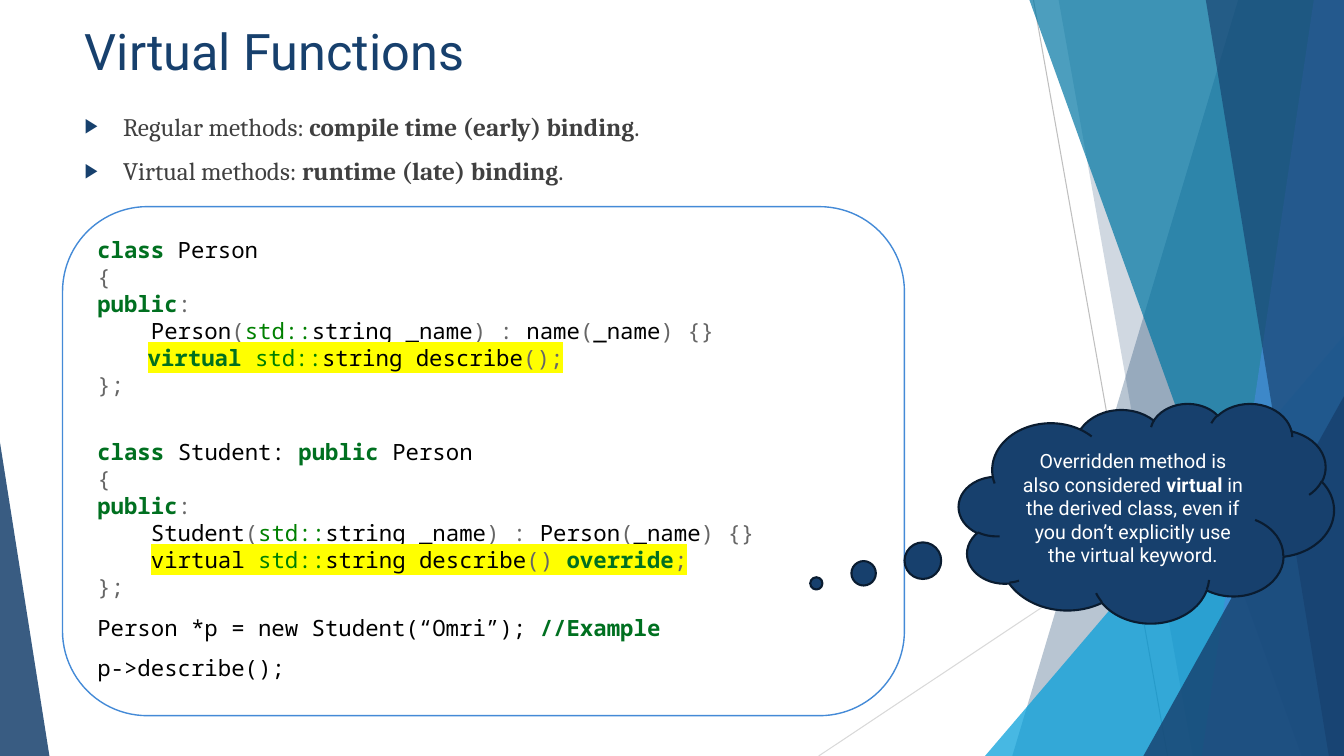
import pptx
import pptx.util
import pptx.dml.color
import pptx.enum.shapes
import pptx.enum.text
import pptx.oxml.ns
import lxml.etree

Inches = pptx.util.Inches
Pt = pptx.util.Pt
SHAPES = pptx.enum.shapes.MSO_SHAPE
NAVY = "17406D"
BLUE = "448AD7"
CODE_FONT = "Noto Sans Mono"
CODE_LINE = 19.2
KEYWORD = {"color": "007020", "bold": True}
PLAIN = {"color": "000000"}
SYMBOL = {"color": "666666"}
SCOPE = {"color": "008000"}
MARKED = "FFFF00"


def rgb(color):
    return pptx.dml.color.RGBColor.from_string(color)


def add_xml(parent, tag, **attributes):
    return lxml.etree.SubElement(parent, pptx.oxml.ns.qn(tag), attributes)


def set_fill(shape, color, opacity=100):
    shape.fill.solid()
    shape.fill.fore_color.rgb = rgb(color)
    if opacity < 100:
        solid = shape._element.spPr.find(pptx.oxml.ns.qn("a:solidFill"))
        add_xml(solid[0], "a:alpha", val=str(opacity * 1000))


def add_text(paragraph, text, font, size, color, bold=False, highlight=None):
    run = paragraph.add_run()
    run.text = text
    run.font.size = Pt(size)
    run.font.bold = bold
    run.font.color.rgb = rgb(color)
    if highlight:
        add_xml(add_xml(run.font._element, "a:highlight"), "a:srgbClr", val=highlight)
    run.font.name = font


def add_shape(slide, kind, left, top, width, height):
    shape = slide.shapes.add_shape(
        kind, Inches(left), Inches(top), Inches(width), Inches(height))
    shape.shadow.inherit = False
    return shape


def add_ray(slide, start, end, color):
    ray = slide.shapes.add_connector(
        pptx.enum.shapes.MSO_CONNECTOR.STRAIGHT, *map(Inches, start + end))
    ray.line.color.rgb = rgb(color)
    ray.line.width = Pt(0.75)
    add_xml(ray._element.spPr, "a:effectLst")


def add_band(slide, top_x, bottom_x, color, opacity):
    builder = slide.shapes.build_freeform(Inches(top_x), 0)
    corners = [(13.33, 0), (13.33, 7.5), (bottom_x, 7.5)]
    builder.add_line_segments([(Inches(x), Inches(y)) for x, y in corners])
    band = builder.convert_to_shape()
    band.shadow.inherit = False
    set_fill(band, color, opacity)
    band.line.fill.background()


def add_wedge(slide, left, top, width, apex, color, opacity):
    wedge = add_shape(slide, SHAPES.ISOSCELES_TRIANGLE, left, top, width, 7.5 - top)
    wedge.adjustments[0] = apex
    set_fill(wedge, color, opacity)
    wedge.line.fill.background()


def add_decoration(slide):
    add_ray(slide, (10.25, 0), (11.58, 7.5), "BFBFBF")
    add_ray(slide, (13.33, 4.03), (8.12, 7.5), "D9D9D9")
    add_band(slide, 12.28, 10.04, NAVY, 30)
    add_band(slide, 10.5, 11.83, NAVY, 20)
    add_wedge(slide, 9.77, 3.33, 3.56, 1, "009DD9", 72)
    add_band(slide, 10.21, 12.91, "0076A3", 70)
    add_band(slide, 13.03, 11.92, BLUE, 70)
    add_band(slide, 11.96, 13.18, NAVY, 65)
    add_wedge(slide, 11.34, 3.93, 1.99, 1, NAVY, 80)
    add_wedge(slide, 0, 4.39, 0.49, 0, NAVY, 85)


def place(placeholder, left, top, width, height):
    placeholder.left, placeholder.top = Inches(left), Inches(top)
    placeholder.width, placeholder.height = Inches(width), Inches(height)
    frame = placeholder.text_frame
    frame.word_wrap = True
    frame.auto_size = pptx.enum.text.MSO_AUTO_SIZE.NONE
    frame.vertical_anchor = pptx.enum.text.MSO_ANCHOR.TOP
    return frame


def next_paragraph(frame, index):
    return frame.add_paragraph() if index else frame.paragraphs[0]


def add_title(slide):
    heading = place(slide.shapes.title, 0.74, 0.15, 9.4, 1.44).paragraphs[0]
    heading.alignment = pptx.enum.text.PP_ALIGN.LEFT
    add_text(heading, "Virtual Functions", "Roboto", 36, NAVY)


def add_bullets(slide, bullets):
    frame = place(slide.placeholders[1], 0.74, 1.05, 9.4, 1.01)
    for index, (lead, emphasis) in enumerate(bullets):
        bullet = next_paragraph(frame, index)
        bullet.space_before = Pt(10 if index else 0)
        props = bullet._p.get_or_add_pPr()
        props.set("marL", str(Inches(0.38)))
        props.set("indent", str(-Inches(0.38)))
        add_xml(add_xml(props, "a:buClr"), "a:srgbClr", val=NAVY)
        add_xml(props, "a:buSzPct", val="80000")
        add_xml(props, "a:buChar", char="▶")
        for text, bold in [(lead, False), (emphasis, True), (".", False)]:
            add_text(bullet, text, "Cambria", 18, "404040", bold)


def constructor(name, member):
    return [("    " + name, PLAIN), ("(", SYMBOL), ("std::", SCOPE),
            ("string _name", PLAIN), (") :", SYMBOL), (" " + member, PLAIN),
            ("(", SYMBOL), ("_name", PLAIN), (") {}", SYMBOL)]


def class_code(header, name, member, indent, method):
    marked = [(text, dict(style, highlight=MARKED)) for text, style in method]
    return [header, [("{", SYMBOL)], [("public", KEYWORD), (":", SYMBOL)],
            constructor(name, member), [(indent, SYMBOL)] + marked, [("};", SYMBOL)]]


def add_code(slide, blocks):
    panel = add_shape(slide, SHAPES.ROUNDED_RECTANGLE, 0.62, 2.05, 8.35, 5.05)
    panel.fill.background()
    panel.line.color.rgb = rgb(BLUE)
    panel.line.width = Pt(1)
    frame = panel.text_frame
    frame.word_wrap = True
    frame.vertical_anchor = pptx.enum.text.MSO_ANCHOR.TOP
    for index, lines in enumerate(blocks):
        block = next_paragraph(frame, index)
        block.alignment = pptx.enum.text.PP_ALIGN.LEFT
        block.line_spacing = Pt(CODE_LINE)
        block.space_before = Pt(CODE_LINE if index == 1 else 0)
        block.space_after = Pt(10)
        tabs = add_xml(block._p.get_or_add_pPr(), "a:tabLst")
        add_xml(tabs, "a:tab", pos=str(Inches(0.5)), algn="l")
        for number, tokens in enumerate(lines):
            if number:
                block.add_line_break()
            for text, style in tokens:
                add_text(block, text, CODE_FONT, 16, **style)


def add_cloud(slide, parts):
    cloud = add_shape(slide, SHAPES.CLOUD_CALLOUT, 9.51, 4, 3.72, 2.18)
    cloud.adjustments[0] = -0.88
    cloud.adjustments[1] = 0.32
    set_fill(cloud, NAVY)
    cloud.line.color.rgb = rgb("0A1C30")
    cloud.line.width = Pt(1.5)
    cloud.text_frame.word_wrap = True
    cloud.text_frame.vertical_anchor = pptx.enum.text.MSO_ANCHOR.MIDDLE
    remark = cloud.text_frame.paragraphs[0]
    remark.alignment = pptx.enum.text.PP_ALIGN.CENTER
    for text, bold in parts:
        add_text(remark, text, "Roboto", 14, "FFFFFF", bold)


def main():
    deck = pptx.Presentation()
    deck.slide_width, deck.slide_height = Inches(13.33), Inches(7.5)
    slide = deck.slides.add_slide(deck.slide_layouts[1])
    add_decoration(slide)
    add_title(slide)
    add_bullets(slide, [("Regular methods: ", "compile time (early) binding"),
                        ("Virtual methods: ", "runtime (late) binding")])
    describe = [("std::", SCOPE), ("string describe", PLAIN)]
    person = class_code(
        [("class", KEYWORD), (" Person", PLAIN)], "Person", "name", "\t",
        [("virtual", KEYWORD), (" ", PLAIN)] + describe + [("();", SYMBOL)])
    student = class_code(
        [("class ", KEYWORD), ("Student: ", PLAIN), ("public", KEYWORD), (" Person", PLAIN)],
        "Student", "Person", "    ",
        [("virtual ", PLAIN)] + describe
        + [("() ", SYMBOL), ("override", KEYWORD), (";", SYMBOL)])
    example = [[("Person *p = new Student(“Omri”); ", PLAIN), ("//Example", KEYWORD)]]
    add_code(slide, [person, student, example, [[("p->describe();", PLAIN)]]])
    add_cloud(slide, [("Overridden method is also considered ", False), ("virtual", True),
                      (" in the derived class, even if you don’t explicitly use "
                       "the virtual keyword.", False)])
    deck.save("out.pptx")


if __name__ == "__main__":
    main()
